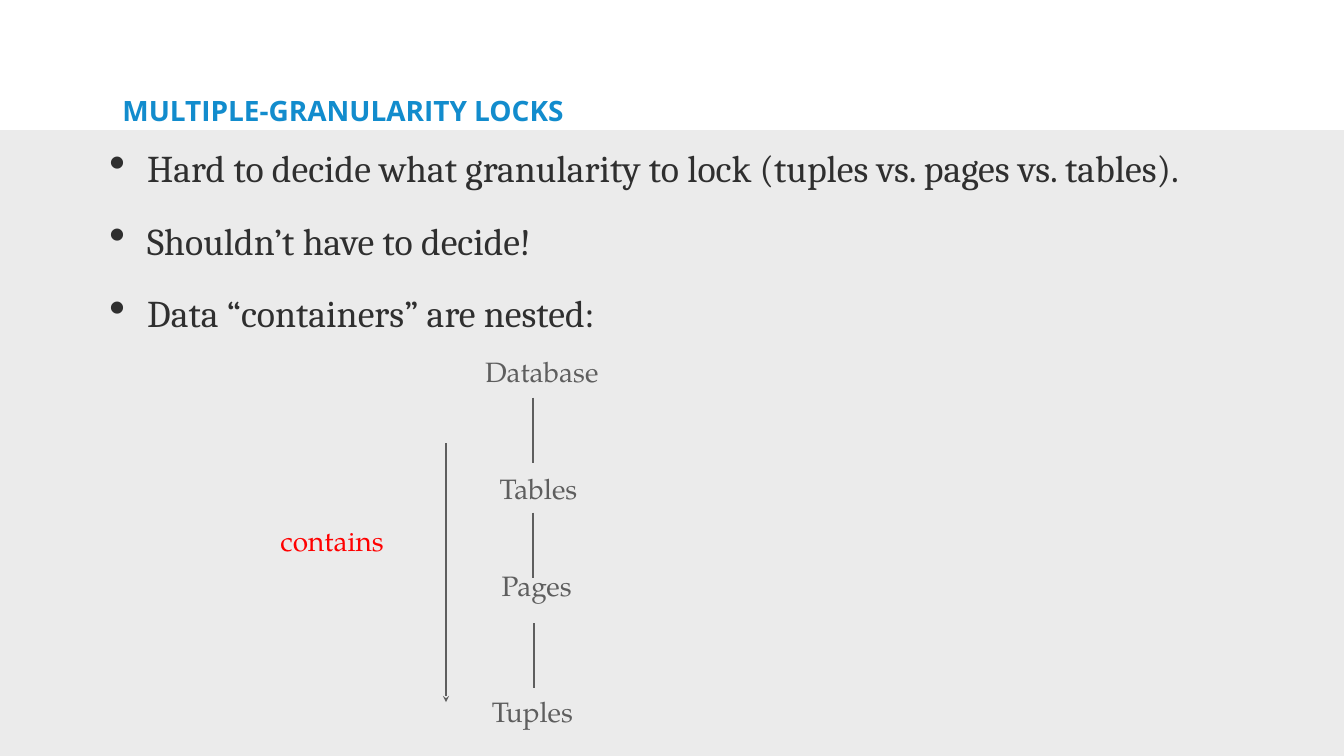
"""Builds the slide on multiple-granularity locks."""
from dataclasses import dataclass

from lxml import etree
from pptx import Presentation
from pptx import util as u
from pptx.dml.color import RGBColor
from pptx.enum import shapes, text
from pptx.oxml.ns import qn


@dataclass(frozen=True)
class Theme:
    panel: str = "EBEBEB"
    title: str = "128CCD"
    body: str = "2F2F2F"
    diagram: str = "5E5E5E"
    accent: str = "FF0000"
    title_font: str = "Open Sans"
    body_font: str = "Cambria"
    diagram_font: str = "TeX Gyre Pagella"
    body_size: int = 54
    small_size: int = 40
    line_width: int = 3


class SlideBuilder:
    def __init__(self, page, theme):
        self.page = page
        self.theme = theme
        self.shapes = page.shapes

    def start_group(self):
        self.shapes = self.page.shapes.add_group_shape().shapes

    def panel(self, left, top, width, height):
        panel = self.shapes.add_shape(
            shapes.MSO_SHAPE.RECTANGLE, *map(u.Inches, (left, top, width, height)))
        panel.shadow.inherit = False
        panel.fill.solid()
        panel.fill.fore_color.rgb = RGBColor.from_string(self.theme.panel)
        panel.line.fill.background()

    def frame(self, area, margins, wrap):
        frame = self.shapes.add_textbox(*map(u.Inches, area)).text_frame
        frame.word_wrap = wrap
        frame.margin_left = frame.margin_right = u.Inches(margins[0])
        frame.margin_top = frame.margin_bottom = u.Inches(margins[1])
        return frame

    def style(self, para, font, size, color, bold=False):
        para.font.name = font
        para.font.size = u.Pt(size)
        para.font.bold = bold
        para.font.color.rgb = RGBColor.from_string(color)

    def title(self, words, area):
        frame = self.frame(area, (0.06, 0.06), True)
        frame.vertical_anchor = text.MSO_ANCHOR.MIDDLE
        para = frame.paragraphs[0]
        para.text = words
        para.line_spacing = 0.8
        self.style(para, self.theme.title_font, self.theme.small_size, self.theme.title, True)

    def bullets(self, lines, area):
        frame = self.frame(area, (0.06, 0.06), True)
        for index, words in enumerate(lines):
            para = frame.add_paragraph() if index else frame.paragraphs[0]
            para.text = words
            para.line_spacing = 0.9
            para.space_before = u.Pt(45 if index else 0)
            props = para._p.get_or_add_pPr()
            props.set("marL", str(u.Inches(0.75)))
            props.set("indent", str(-u.Inches(0.75)))
            etree.SubElement(props, qn("a:buSzPct"), val="123000")
            etree.SubElement(props, qn("a:buChar"), char="•")
            self.style(para, self.theme.body_font, self.theme.body_size, self.theme.body)

    def label(self, words, area, color):
        frame = self.frame(area, (0.1, 0.05), False)
        frame.auto_size = text.MSO_AUTO_SIZE.SHAPE_TO_FIT_TEXT
        para = frame.paragraphs[0]
        para.text = words
        para.alignment = text.PP_ALIGN.CENTER
        self.style(para, self.theme.diagram_font, self.theme.small_size, color)

    def vertical_line(self, x, top, length, arrow=False):
        line = self.shapes.add_connector(
            shapes.MSO_CONNECTOR.STRAIGHT, *map(u.Inches, (x, top, x, top + length)))
        line.line.color.rgb = RGBColor.from_string(self.theme.diagram)
        line.line.width = u.Pt(self.theme.line_width)
        if arrow:
            etree.SubElement(line.line._get_or_add_ln(), qn("a:tailEnd"), type="stealth")
        etree.SubElement(line._element.spPr, qn("a:effectLst"))


def main():
    deck = Presentation()
    deck.slide_width, deck.slide_height = u.Inches(26.67), u.Inches(15)
    theme = Theme()
    builder = SlideBuilder(deck.slides.add_slide(deck.slide_layouts[6]), theme)

    builder.panel(0, 2.58, 26.67, 12.42)
    builder.bullets([
        "Hard to decide what granularity to lock (tuples vs. pages vs. tables).",
        "Shouldn’t have to decide!",
        "Data “containers” are nested:",
    ], (2.11, 2.92, 23.18, 11.72))
    builder.title("MULTIPLE-GRANULARITY LOCKS", (2.37, 1.97, 16.09, 0.56))

    builder.start_group()
    containers = [
        ("Database", 9.51, 6.99, 2.48),
        ("Tables", 9.78, 9.31, 1.81),
        ("Pages", 9.83, 11.23, 1.64),
        ("Tuples", 9.62, 13.74, 1.89),
    ]
    for words, left, top, width in containers:
        builder.label(words, (left, top, width, 0.9), theme.diagram)
    for x, top in [(10.57, 7.89), (10.57, 10.17), (10.59, 12.37)]:
        builder.vertical_line(x, top, 1.29)
    builder.vertical_line(8.85, 8.79, 5.14, arrow=True)
    builder.label("contains", (5.45, 10.33, 2.28, 0.77), theme.accent)

    deck.save("out.pptx")


if __name__ == "__main__":
    main()
